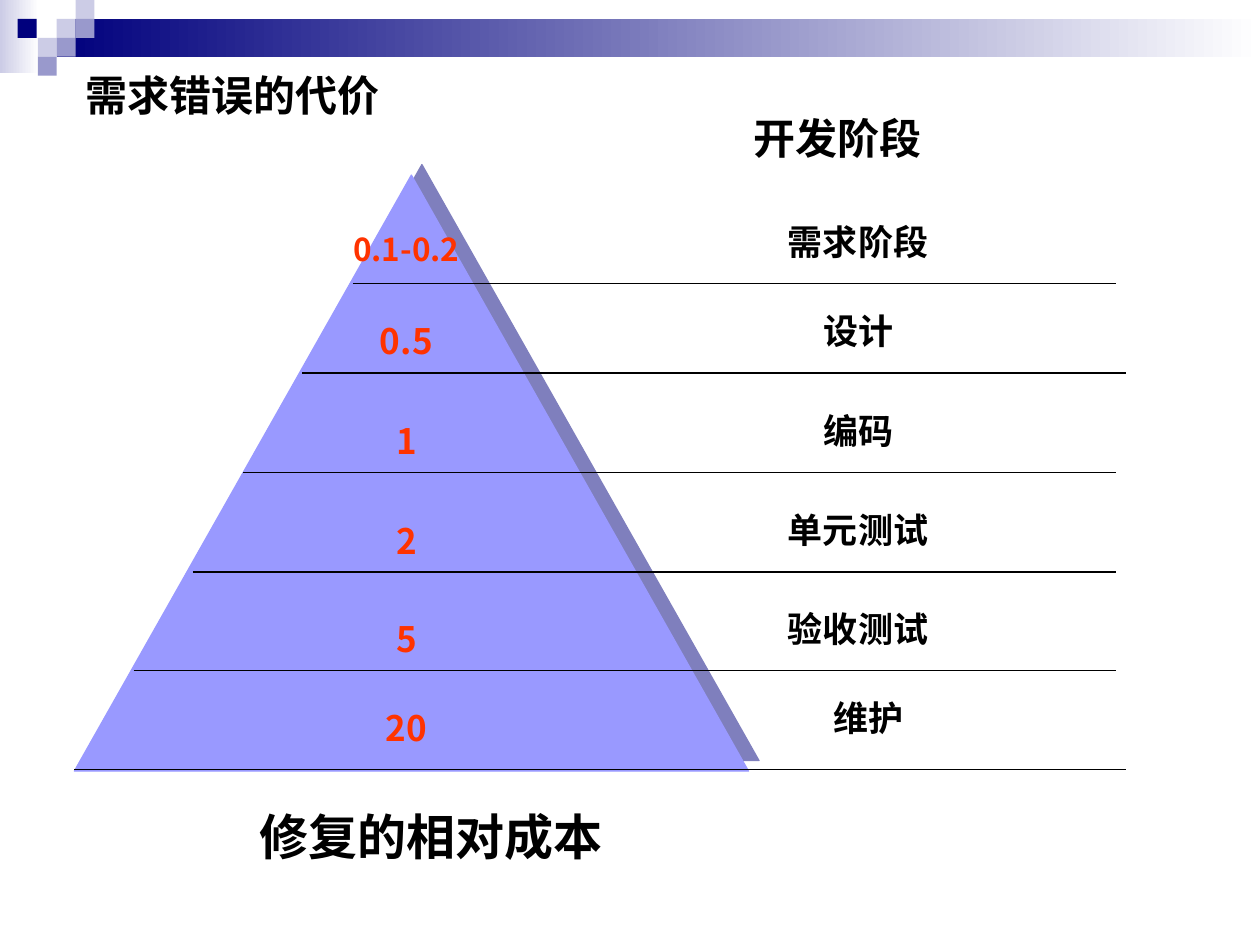
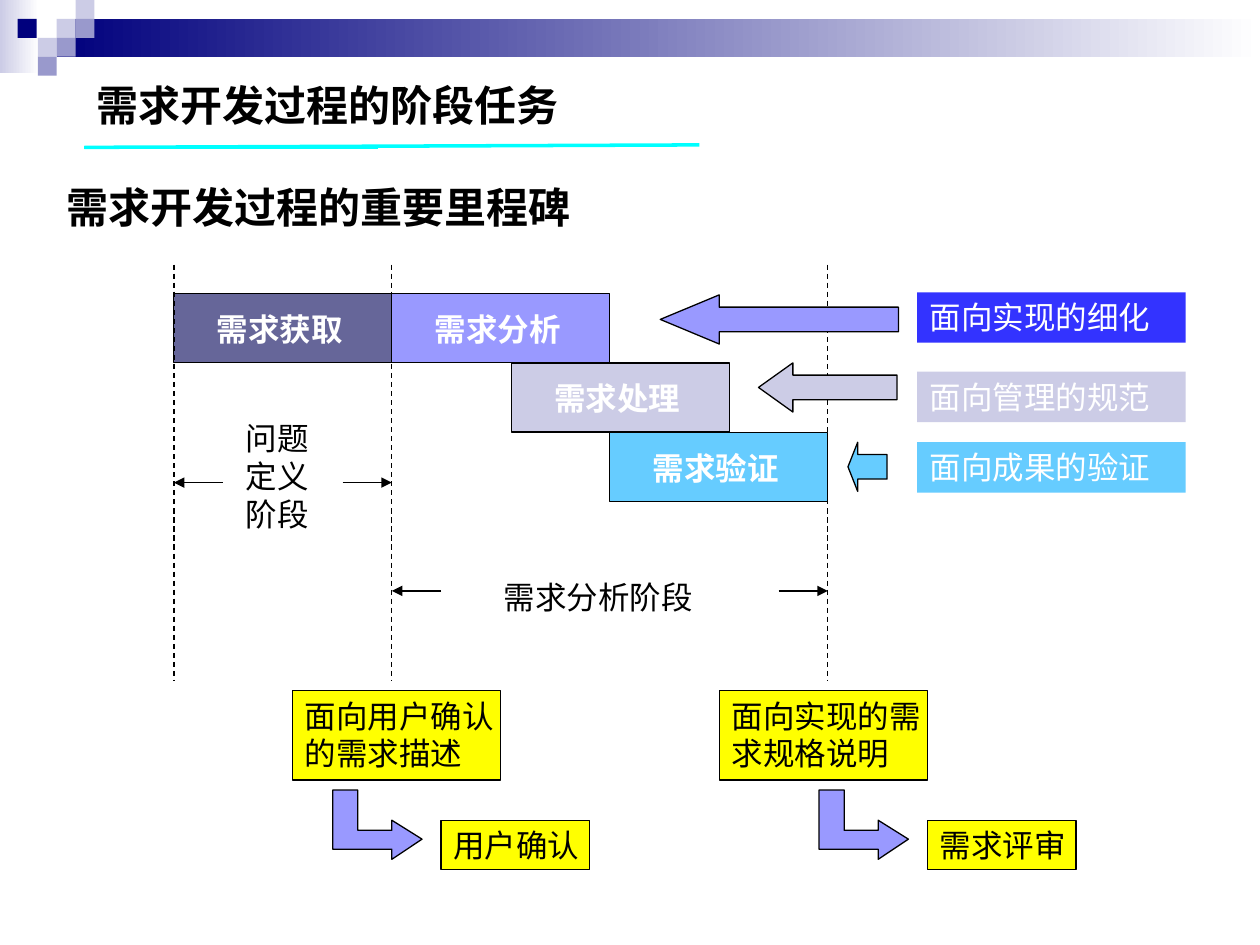
from lxml import etree
from pptx import Presentation
from pptx.dml.color import RGBColor
from pptx.enum.dml import MSO_LINE
from pptx.enum.shapes import MSO_CONNECTOR, MSO_SHAPE
from pptx.enum.text import MSO_ANCHOR, PP_ALIGN
from pptx.oxml.ns import qn
from pptx.util import Cm, Pt

COLORS = {
    "black": "000000", "white": "FFFFFF", "navy": "00007D", "pale": "CCCCE6",
    "mid": "9999CC", "slate": "666699", "violet": "9999FF", "blue": "3333FF",
    "sky": "66CCFF", "yellow": "FFFF00", "cyan": "00FFFF", "red": "FF3300",
}
CJK = "Noto Sans CJK SC"
FORMATS = {
    "title": {"name": CJK, "size": Pt(24), "bold": True},
    "caption": {"name": CJK, "size": Pt(28), "bold": True},
    "row": {"name": CJK, "size": Pt(20), "bold": True},
    "small_row": {"name": CJK, "size": Pt(18), "bold": True},
    "step": {"name": "Arial", "size": Pt(18), "bold": True},
    "body": {"name": "Arial", "size": Pt(18), "bold": False},
}

# Shared header; all places below are in inches and become Cm in u()
TILE = 0.15
GRADIENTS = [((0, 0, 0.31, 0.58), "pale"), ((0.45, 0.15, 9.55, 0.3), "navy")]
TILES = [
    (0.45, 0.15, "pale"), (0.6, 0, "pale"), (0.6, 0.15, "mid"), (0.3, 0.3, "pale"),
    (0.14, 0.15, "navy"), (0.45, 0.3, "mid"), (0.3, 0.45, "mid"),
]

# Slide 1: cost, phase, format of cost, label left, label top, rule left, right, y
COST_ROWS = [
    ("0.1-0.2", "需求阶段", "small_row", 4.92, 1.7, 2.8, 8.86, 2.25),
    ("0.5", "设计", "row", 4.92, 2.41, 2.4, 8.94, 2.96),
    ("1", "编码", "row", 4.92, 3.2, 1.93, 8.86, 3.75),
    ("2", "单元测试", "row", 4.92, 3.99, 1.53, 8.86, 4.54),
    ("5", "验收测试", "row", 4.92, 4.77, 1.06, 8.86, 5.32),
    ("20", "维护", "row", 5, 5.48, 0.59, 8.94, 6.11),
]

# Slide 2: milestones, steps, phases, outputs
START, DEFINED, DONE = 1.38, 3.11, 6.57
STEP_TOP, STEP_W, STEP_H = 2.33, 1.73, 0.55
STEPS = [  # text, left, level, fill
    ("需求获取", START, 0, "slate"), ("需求分析", DEFINED, 0, "violet"),
    ("需求处理", 4.06, 1, "pale"), ("需求验证", 4.84, 2, "sky"),
]
PHASES = [  # text, text box, span, y of arrows
    ("问题定义阶段", (1.85, 3.28, 0.71, 1), (START, DEFINED), 3.83),
    ("需求分析阶段", (3.9, 4.54, 1.97, 0.4), (DEFINED, DONE), 4.69),
]
OUTPUTS = [  # document, left, check, left, left of elbow arrow
    ("面向用户确认的需求描述", 2.32, "用户确认", 3.5, 2.64),
    ("面向实现的需求规格说明", 5.71, "需求评审", 7.36, 6.5),
]
ELBOW_TOP = 6.27
ELBOW = [(0, 0), (0.2, 0), (0.2, 0.32), (0.47, 0.32), (0.47, 0.24),
         (0.71, 0.39), (0.47, 0.55), (0.47, 0.47), (0, 0.47)]
GOALS = [  # text, top, label fill, arrow box, head length, arrow fill
    ("面向实现的细化", 2.32, "blue", (5.24, 2.34, 1.89, 0.39), 1.2, "violet"),
    ("面向管理的规范", 2.95, "pale", (6.02, 2.88, 1.1, 0.39), 0.7, "pale"),
    ("面向成果的验证", 3.51, "sky", (6.73, 3.51, 0.31, 0.39), 0.25, "sky"),
]


def u(inches):
    return Cm(inches * 2.54)


def rgb(name):
    return RGBColor.from_string(COLORS[name])


def paint(sp, fill, line=None):
    sp.shadow.inherit = False
    sp.fill.solid()
    sp.fill.fore_color.rgb = rgb(fill)
    if line:
        sp.line.color.rgb = rgb(line)
        sp.line.width = Pt(0.75)
    else:
        sp.line.fill.background()
    return sp


def add_box(s, box, fill, line=None, kind=MSO_SHAPE.RECTANGLE):
    return paint(s.shapes.add_shape(kind, *map(u, box)), fill, line)


def write(sp, text, fmt, color="black", align=PP_ALIGN.LEFT,
          insets=(0.1, 0.05, 0.1, 0.05)):
    tf = sp.text_frame
    tf.word_wrap = True
    tf.vertical_anchor = MSO_ANCHOR.TOP
    for side, inset in zip(("left", "top", "right", "bottom"), insets):
        setattr(tf, f"margin_{side}", u(inset))
    p = tf.paragraphs[0]
    p.alignment = align
    r = p.add_run()
    r.text = text
    for key, value in FORMATS[fmt].items():
        setattr(r.font, key, value)
    r.font.color.rgb = rgb(color)
    ea = etree.SubElement(r.font._element, qn("a:ea"))
    ea.set("typeface", CJK)


def add_text(s, box, text, fmt, color="black", align=PP_ALIGN.LEFT):
    write(s.shapes.add_textbox(*map(u, box)), text, fmt, color, align)


def add_line(s, x1, y1, x2, y2, color="black", width=0.75, dash=False, arrow=False):
    c = s.shapes.add_connector(MSO_CONNECTOR.STRAIGHT, *map(u, (x1, y1, x2, y2)))
    c.line.color.rgb = rgb(color)
    c.line.width = Pt(width)
    if dash:
        c.line.dash_style = MSO_LINE.DASH
    if arrow:
        etree.SubElement(c.line._get_or_add_ln(), qn("a:tailEnd")).set("type", "triangle")
    etree.SubElement(c._element.spPr, qn("a:effectLst"))


def add_slide(prs):
    s = prs.slides.add_slide(prs.slide_layouts[6])
    for box, color in GRADIENTS:
        sp = add_box(s, box, color)
        sp.fill.gradient()
        sp.fill.gradient_angle = 180
        for stop, name in zip(sp.fill.gradient_stops, ("white", color)):
            stop.color.rgb = rgb(name)
    for x, y, color in TILES:
        add_box(s, (x, y, TILE, TILE), color)
    return s


def add_offset_shadow(sp):
    effects = sp._element.spPr.find(qn("a:effectLst"))
    shadow = etree.SubElement(effects, qn("a:outerShdw"), blurRad="0",
                              dist=str(Pt(8.5)), dir="18900000",
                              algn="ctr", rotWithShape="0")
    color = etree.SubElement(shadow, qn("a:srgbClr"), val=COLORS["navy"])
    etree.SubElement(color, qn("a:alpha"), val="50000")


def cost_slide(prs):
    s = add_slide(prs)
    center = PP_ALIGN.CENTER
    add_text(s, (0.58, 0.5, 5.91, 0.5), "需求错误的代价", "title")
    add_text(s, (1.53, 6.35, 3.78, 0.57), "修复的相对成本", "caption", align=center)
    pyramid = add_box(s, (0.59, 1.39, 5.35, 4.73), "violet", "violet",
                      MSO_SHAPE.ISOSCELES_TRIANGLE)
    add_offset_shadow(pyramid)
    add_text(s, (4.76, 0.84, 3.78, 0.5), "开发阶段", "title", align=center)
    for cost, phase, fmt, left, top, x1, x2, y in COST_ROWS:
        add_line(s, x1, y, x2, y)
        add_text(s, (left, top, 3.78, 0.44), phase, "row", align=center)
        add_text(s, (2.48, top + 0.08, 1.49, 0.44), cost, fmt, "red", center)


def milestone_slide(prs):
    s = add_slide(prs)
    # Titles and underline
    add_line(s, 3, 1.17, 0.67, 1.17, "cyan", 0)
    add_text(s, (0.67, 0.58, 5.91, 0.5), "需求开发过程的阶段任务", "title")
    add_text(s, (0.43, 1.39, 6.22, 0.5), "需求开发过程的重要里程碑", "title",
             align=PP_ALIGN.JUSTIFY)
    add_line(s, 5.55, 1.15, 0.67, 1.17, "cyan", 0)

    # Steps, each level one step height lower
    for text, left, level, fill in STEPS:
        sp = add_box(s, (left, STEP_TOP + level * STEP_H, STEP_W, STEP_H), fill, "black")
        write(sp, text, "step", "white", insets=(0.34, 0.13, 0, 0))

    # Milestones and the phases between them
    for x in (START, DEFINED, DONE):
        add_line(s, x, 2.1, x, 5.4, dash=True)
    for text, box, (x1, x2), y in PHASES:
        add_text(s, box, text, "body")
        add_line(s, x1 + 0.39, y, x1, y, arrow=True)
        add_line(s, x2 - 0.39, y, x2, y, arrow=True)

    # Outputs and their checks
    for document, doc_x, check, check_x, elbow_x in OUTPUTS:
        for text, box in ((document, (doc_x, 5.48, 1.65, 0.71)),
                          (check, (check_x, 6.51, 1.18, 0.39))):
            write(add_box(s, box, "yellow", "black"), text, "body",
                  insets=(0.1, 0.05, 0, 0))
        points = [(u(elbow_x + x), u(ELBOW_TOP + y)) for x, y in ELBOW]
        outline = s.shapes.build_freeform(*points[0])
        outline.add_line_segments(points[1:], close=True)
        paint(outline.convert_to_shape(), "violet", "black")

    # Goals pointing at the steps
    for text, top, fill, box, head, arrow_fill in GOALS:
        arrow = add_box(s, box, arrow_fill, "black", MSO_SHAPE.LEFT_ARROW)
        arrow.adjustments[0], arrow.adjustments[1] = 0.5, head
        write(add_box(s, (7.28, top, 2.13, 0.4), fill), text, "body", "white")


def main():
    prs = Presentation()
    prs.slide_width, prs.slide_height = u(10), u(7.5)
    cost_slide(prs)
    milestone_slide(prs)
    prs.save("out.pptx")


if __name__ == "__main__":
    main()
